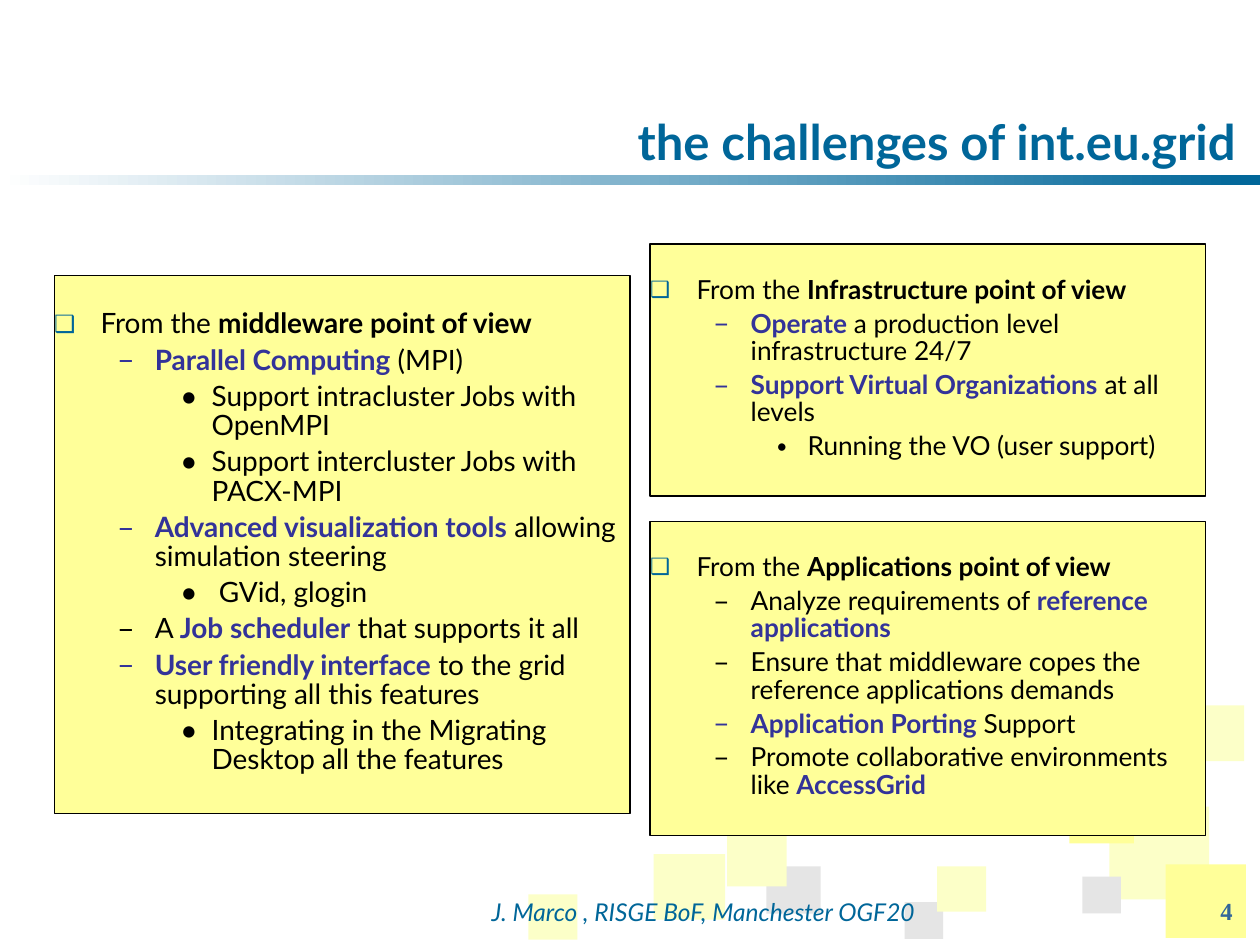
from dataclasses import dataclass

from lxml.etree import SubElement
from pptx import Presentation
from pptx.dml.color import RGBColor
from pptx.enum.shapes import MSO_SHAPE
from pptx.enum.text import MSO_ANCHOR, PP_ALIGN
from pptx.oxml.ns import qn
from pptx.util import Pt


@dataclass(frozen=True)
class Theme:
    font: str = "Lato"
    number_font: str = "Times New Roman"
    primary: str = "006699"
    accent: str = "333399"
    number: str = "336699"
    ink: str = "000000"
    white: str = "FFFFFF"
    yellow: str = "FFFF99"
    pale: str = "FCFFC8"
    grey: str = "E5E5E5"
    title_size: int = 28
    large_size: int = 16
    body_size: int = 15
    footer_size: int = 14


# Per outline level: left margin, hanging indent, bullet, bullet size in %
LEVELS = [(26.5, 26.5, "❑", 85), (57.5, 21.5, "–", 109), (90, 18, "•", 109)]


class SlideBuilder:
    def __init__(self, slide, theme):
        self.slide = slide
        self.theme = theme

    def style_font(self, font, size, color=None, name=None, bold=None, italic=None):
        font.name = name or self.theme.font
        font.size = Pt(size)
        font.bold = bold
        font.italic = italic
        if color:
            font.color.rgb = RGBColor.from_string(color)

    def title(self, text, box):
        title = self.slide.shapes.title
        title.left, title.top, title.width, title.height = map(Pt, box)
        frame = title.text_frame
        self.set_insets(frame, 0)
        frame.vertical_anchor = MSO_ANCHOR.BOTTOM
        frame.text = text
        paragraph = frame.paragraphs[0]
        paragraph.alignment = PP_ALIGN.RIGHT
        paragraph.line_spacing = 0.93
        self.style_font(paragraph.font, self.theme.title_size, self.theme.primary, bold=True)

    def set_insets(self, frame, top):
        frame.margin_left = frame.margin_right = frame.margin_bottom = 0
        frame.margin_top = Pt(top)
        frame.word_wrap = True

    def rectangle(self, box, color, outline=None):
        rectangle = self.slide.shapes.add_shape(MSO_SHAPE.RECTANGLE, *map(Pt, box))
        rectangle.shadow.inherit = False
        rectangle.fill.solid()
        rectangle.fill.fore_color.rgb = RGBColor.from_string(color)
        if outline:
            rectangle.line.color.rgb = RGBColor.from_string(outline)
            rectangle.line.width = Pt(0.75)
        else:
            rectangle.line.fill.background()
        return rectangle

    def fading_bar(self, box):
        fill = self.rectangle(box, self.theme.primary).fill
        fill.gradient()
        fill.gradient_angle = 180
        for stop, color, position in zip(
            fill.gradient_stops, (self.theme.primary, self.theme.white), (0, 1)
        ):
            stop.color.rgb = RGBColor.from_string(color)
            stop.position = position

    def label(self, text, box, alignment, color, **font_style):
        label = self.slide.shapes.add_textbox(*map(Pt, box))
        label.text_frame.word_wrap = True
        label.text_frame.text = text
        paragraph = label.text_frame.paragraphs[0]
        paragraph.alignment = alignment
        self.style_font(paragraph.font, self.theme.footer_size, color, **font_style)

    def panel(self, box, outline, size, space, top_inset, detail_bullet=109):
        """Draw a bordered box of (level, text) lines; *stars* mark emphasis."""
        frame = self.rectangle(box, self.theme.yellow, self.theme.ink).text_frame
        frame.vertical_anchor = MSO_ANCHOR.TOP
        self.set_insets(frame, top_inset)
        for index, (level, text) in enumerate(outline):
            paragraph = frame.add_paragraph() if index else frame.paragraphs[0]
            paragraph.level = level
            paragraph.alignment = PP_ALIGN.LEFT
            paragraph.line_spacing = 0.87
            if index:
                paragraph.space_before = Pt(space)
            if level == 0:
                bullet_color = self.theme.primary
            else:
                bullet_color = self.theme.accent if text.startswith("*") else self.theme.ink
            self.bullet(paragraph, level, bullet_color, detail_bullet)
            self.style_font(paragraph.font, size)
            for part_index, part in enumerate(text.split("*")):
                if not part:
                    continue
                run = paragraph.add_run()
                run.text = part
                emphasised = part_index % 2 == 1
                run.font.bold = emphasised
                color = self.theme.accent if emphasised and level else self.theme.ink
                run.font.color.rgb = RGBColor.from_string(color)

    def bullet(self, paragraph, level, color, detail_bullet):
        margin, hanging, character, percent = LEVELS[level]
        if level == 2:
            percent = detail_bullet
        properties = paragraph._p.get_or_add_pPr()
        properties.set("marL", str(Pt(margin)))
        properties.set("indent", str(-Pt(hanging)))
        SubElement(SubElement(properties, qn("a:buClr")), qn("a:srgbClr"), val=color)
        SubElement(properties, qn("a:buSzPct"), val=str(percent * 1000))
        SubElement(properties, qn("a:buFont"), typeface=self.theme.font)
        SubElement(properties, qn("a:buChar"), char=character)


MIDDLEWARE = [
    (0, "From the *middleware point of view*"),
    (1, "*Parallel Computing* (MPI)"),
    (2, "Support intracluster Jobs with OpenMPI"),
    (2, "Support intercluster Jobs with PACX-MPI"),
    (1, "*Advanced visualization tools* allowing simulation steering"),
    (2, " GVid, glogin"),
    (1, "A *Job scheduler* that supports it all"),
    (1, "*User friendly interface* to the grid supporting all this features"),
    (2, "Integrating in the Migrating Desktop all the features"),
]
INFRASTRUCTURE = [
    (0, "From the *Infrastructure point of view*"),
    (1, "*Operate* a production level infrastructure 24/7"),
    (1, "*Support Virtual Organizations* at all levels"),
    (2, "Running the VO (user support)"),
]
APPLICATIONS = [
    (0, "From the *Applications point of view*"),
    (1, "Analyze requirements of *reference applications*"),
    (1, "Ensure that middleware copes the reference applications demands"),
    (1, "*Application Porting* Support"),
    (1, "Promote collaborative environments like *AccessGrid*"),
]


def main():
    theme = Theme()
    deck = Presentation()
    deck.slide_width, deck.slide_height = Pt(720), Pt(540)
    builder = SlideBuilder(deck.slides.add_slide(deck.slide_layouts[5]), theme)

    mosaic = [
        (302, 511, 28, 26, theme.pale),
        (438, 495, 31, 27, theme.grey),
        (634, 461, 57, 53, theme.pale),
        (666, 494, 46, 42, theme.yellow),
        (611, 448, 37, 34, theme.yellow),
        (415.5, 474.5, 34, 32, theme.pale),
        (373.5, 488, 41, 37.5, theme.pale),
        (517, 515.5, 22, 21, theme.grey),
        (677, 403, 34, 32, theme.pale),
        (535.5, 495, 28, 26, theme.pale),
        (618.5, 501, 22, 21, theme.grey),
    ]
    for *box, color in mosaic:
        builder.rectangle(box, color)
    builder.fading_bar((0, 100, 720, 6))
    builder.title("the challenges of int.eu.grid", (144.5, 35.5, 561.5, 62.5))

    right, right_width = 371.5, 317.5
    builder.panel((right, 298, right_width, 179.5), APPLICATIONS, theme.body_size, 3.7, 19)
    builder.panel((right, 139.5, right_width, 144), INFRASTRUCTURE, theme.body_size, 3.7, 19,
                  detail_bullet=76)
    builder.panel((31, 157.5, 329, 307.5), MIDDLEWARE, theme.large_size, 4, 20)

    builder.label("J. Marco , RISGE BoF, Manchester OGF20", (155.5, 509, 493, 28),
                  PP_ALIGN.CENTER, theme.primary, italic=True)
    builder.label("4", (672, 508.5, 39.5, 26), PP_ALIGN.RIGHT, theme.number,
                  name=theme.number_font, bold=True)
    deck.save("out.pptx")


if __name__ == "__main__":
    main()
